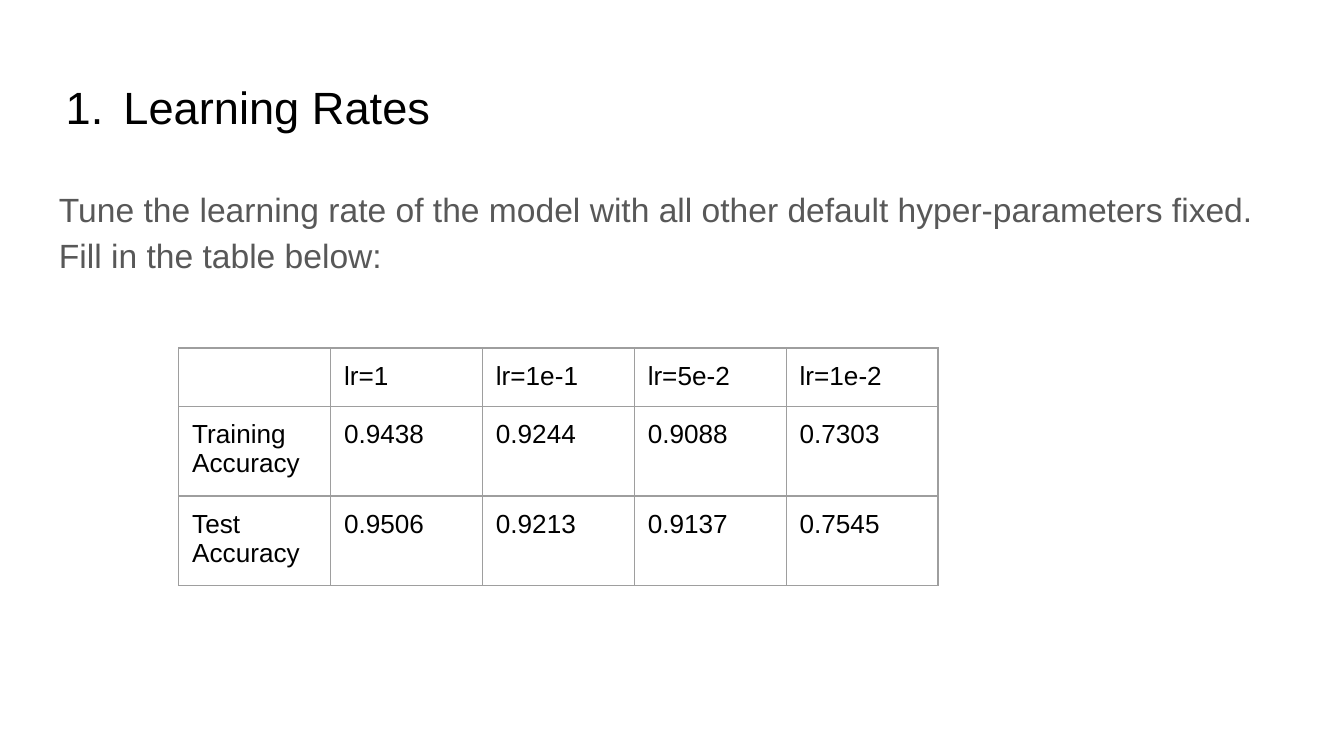
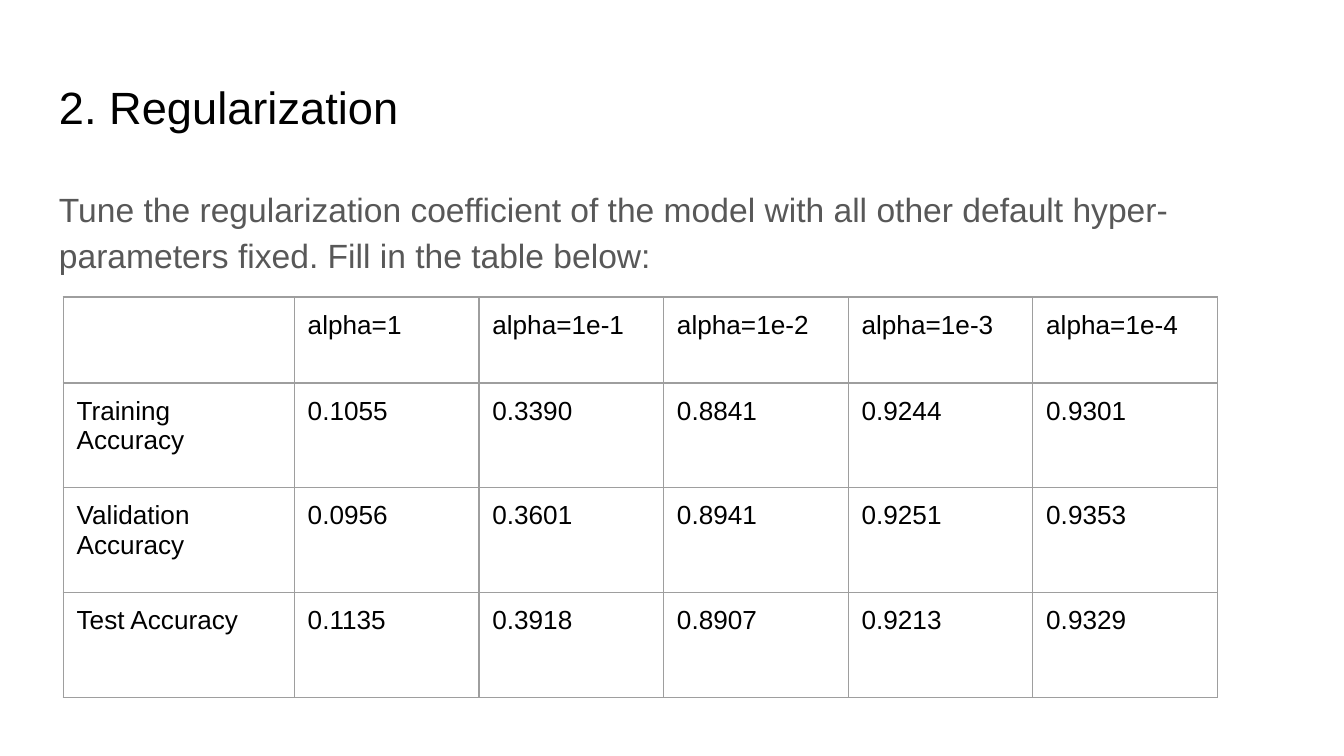
from lxml import etree
from pptx import Presentation
from pptx.dml.color import RGBColor
from pptx.enum.text import MSO_ANCHOR
from pptx.oxml.ns import qn
from pptx.util import Inches, Pt

TOP = MSO_ANCHOR.TOP
COLORS = {"ink": "000000", "prompt": "585858", "grid": "9E9E9E", "page": "FFFFFF"}
FONT = "Arial"
TITLE_SIZE, PROMPT_SIZE, CELL_SIZE = 24.2, 18, 14
SLIDE_WIDTH = 10
SLIDE_HEIGHT = SLIDE_WIDTH * 9 / 16
MARGIN, INSET = 0.34, 0.1
TITLE_TOP, TITLE_HEIGHT = 0.49, 0.63
PROMPT_TOP = 1.26
BORDER_WIDTH = 0.75


def add_run(paragraph, text, size, color):
    run = paragraph.add_run()
    run.text = text
    run.font.name = FONT
    run.font.size = Pt(size)
    run.font.color.rgb = RGBColor.from_string(COLORS[color])


def set_insets(holder):
    for side in ("left", "top", "right", "bottom"):
        setattr(holder, f"margin_{side}", Inches(INSET))


def add_text(slide, text, top, height, size, color):
    """Add a full-width text box and return its paragraph."""
    box = slide.shapes.add_textbox(
        Inches(MARGIN), Inches(top), Inches(SLIDE_WIDTH - 2 * MARGIN), Inches(height)
    )
    frame = box.text_frame
    frame.word_wrap = True
    frame.vertical_anchor = TOP
    set_insets(frame)
    paragraph = frame.paragraphs[0]
    add_run(paragraph, text, size, color)
    return paragraph


def number_paragraph(paragraph, indent, hanging):
    """Turn the paragraph into the first item of a 1. 2. 3. list."""
    props = paragraph._p.get_or_add_pPr()
    props.set("marL", str(Inches(indent)))
    props.set("indent", str(-Inches(hanging)))
    bullet_color = etree.SubElement(props, qn("a:buClr"))
    etree.SubElement(bullet_color, qn("a:srgbClr"), val=COLORS["ink"])
    etree.SubElement(props, qn("a:buFont"), typeface=FONT)
    etree.SubElement(props, qn("a:buAutoNum"), type="arabicPeriod")


def add_title(slide, text, numbered=False):
    title = add_text(slide, text, TITLE_TOP, TITLE_HEIGHT, TITLE_SIZE, "ink")
    if numbered:
        number_paragraph(title, 0.48, 0.43)


def add_prompt(slide, text, height, space_before=0):
    prompt = add_text(slide, text, PROMPT_TOP, height, PROMPT_SIZE, "prompt")
    prompt.line_spacing = 1.15
    prompt.space_before = Pt(space_before)


def border_cell(cell):
    props = cell._tc.get_or_add_tcPr()
    for position, side in enumerate(("lnL", "lnR", "lnT", "lnB")):
        line = etree.Element(qn(f"a:{side}"), w=str(Pt(BORDER_WIDTH)))
        fill = etree.SubElement(line, qn("a:solidFill"))
        etree.SubElement(fill, qn("a:srgbClr"), val=COLORS["grid"])
        props.insert(position, line)


def fill_cell(cell, text):
    set_insets(cell)
    cell.fill.background()
    border_cell(cell)
    paragraph = cell.text_frame.paragraphs[0]
    if text:
        add_run(paragraph, text, CELL_SIZE, "ink")
    else:
        etree.SubElement(paragraph._p, qn("a:endParaRPr"), sz=str(CELL_SIZE * 100))


def add_results(slide, left, top, widths, heights, rows):
    frame = slide.shapes.add_table(
        len(rows), len(widths), Inches(left), Inches(top),
        Inches(sum(widths)), Inches(sum(heights)),
    )
    table = frame.table
    table.first_row = table.horz_banding = False
    for column, width in zip(table.columns, widths):
        column.width = Inches(width)
    for row, height, texts in zip(table.rows, heights, rows):
        row.height = Inches(height)
        for cell, text in zip(row.cells, texts):
            fill_cell(cell, text)


def add_page(deck):
    slide = deck.slides.add_slide(deck.slide_layouts[6])
    slide.background.fill.solid()
    slide.background.fill.fore_color.rgb = RGBColor.from_string(COLORS["page"])
    return slide


def add_learning_rates(deck):
    slide = add_page(deck)
    add_title(slide, "Learning Rates", numbered=True)
    add_prompt(
        slide,
        "Tune the learning rate of the model with all other default "
        "hyper-parameters fixed. Fill in the table below:",
        height=3.74,
    )
    add_results(slide, 1.33, 2.59, [1.13] * 5, [0.42] * 3, [
        ["", "lr=1", "lr=1e-1", "lr=5e-2", "lr=1e-2"],
        ["Training Accuracy", "0.9438", "0.9244", "0.9088", "0.7303"],
        ["Test Accuracy", "0.9506", "0.9213", "0.9137", "0.7545"],
    ])


def add_regularization(deck):
    slide = add_page(deck)
    add_title(slide, "2. Regularization")
    add_prompt(
        slide,
        "Tune the regularization coefficient of the model with all other default "
        "hyper-parameters fixed. Fill in the table below:",
        height=0.95,
        space_before=16,
    )
    table_width, label_width, settings = 8.59, 1.72, 5
    setting_width = (table_width - label_width) / settings
    widths = [label_width] + [setting_width] * settings
    add_results(slide, 0.47, 2.21, widths, [0.64] + [0.78] * 3, [
        ["", "alpha=1", "alpha=1e-1", "alpha=1e-2", "alpha=1e-3", "alpha=1e-4"],
        ["Training Accuracy", "0.1055", "0.3390", "0.8841", "0.9244", "0.9301"],
        ["Validation Accuracy", "0.0956", "0.3601", "0.8941", "0.9251", "0.9353"],
        ["Test Accuracy", "0.1135", "0.3918", "0.8907", "0.9213", "0.9329"],
    ])


def main():
    deck = Presentation()
    deck.slide_width = Inches(SLIDE_WIDTH)
    deck.slide_height = Inches(SLIDE_HEIGHT)
    add_learning_rates(deck)
    add_regularization(deck)
    deck.save("out.pptx")


if __name__ == "__main__":
    main()
